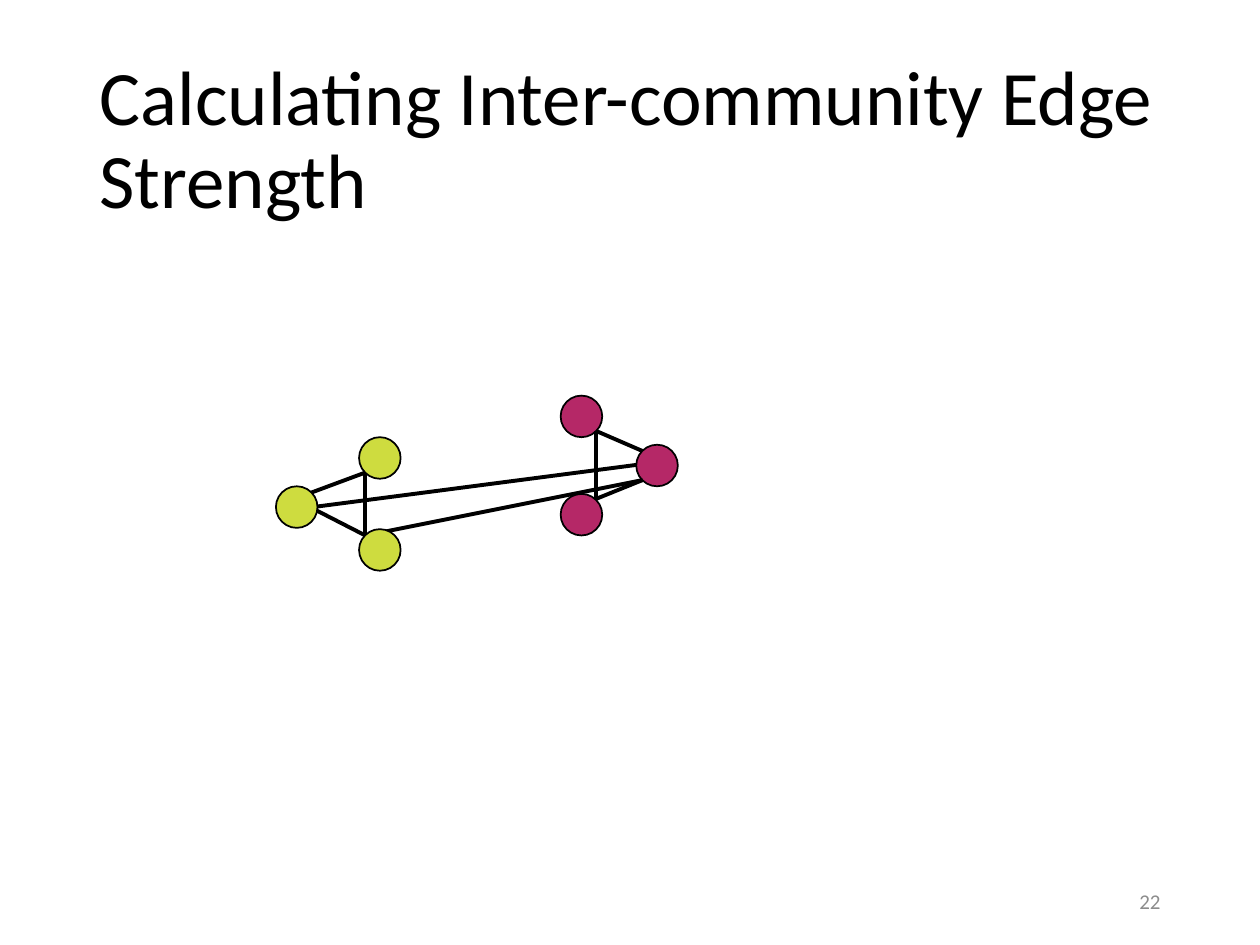
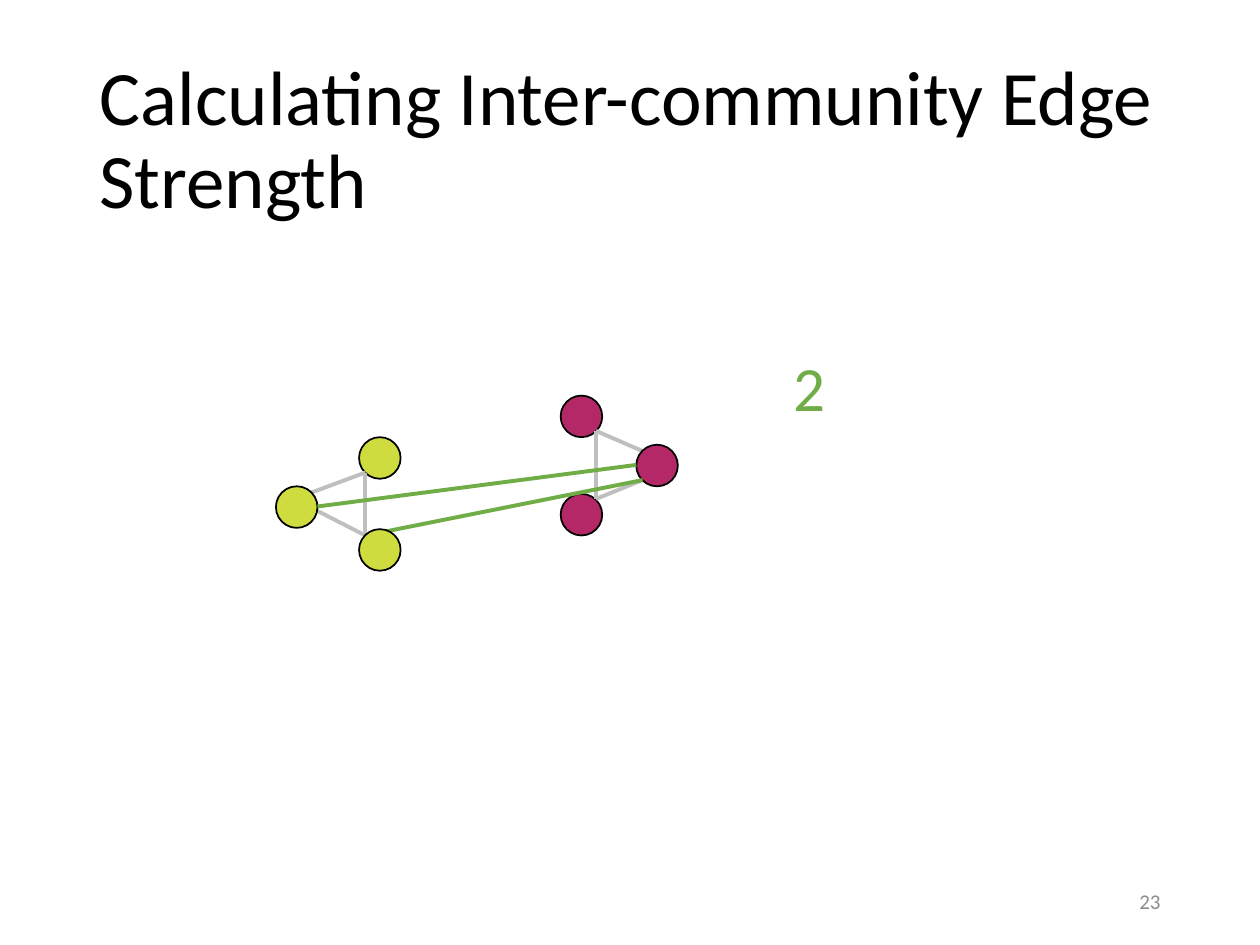
from lxml import etree
from pptx import Presentation
from pptx import util as u
from pptx.dml.color import RGBColor
from pptx.enum import shapes, text
from pptx.oxml.ns import qn

INK = {"black": "000000", "gray": "BFBFBF", "page": "8C8C8C",
       "lime": "CEDC3F", "plum": "B52867", "green": "70AD47"}
FONT = "Calibri"
TITLE = "Calculating Inter-community Edge Strength"
NODE = 0.33
LEFT = [((0.32, 0.91), (0.71, 1.11)), ((0.71, 0.61), (0.28, 0.77)),
        ((0.71, 1.11), (0.71, 0.61))]
RIGHT = [((2.54, 0.28), (2.91, 0.44)), ((2.54, 0.82), (2.91, 0.67)),
         ((2.54, 0.28), (2.54, 0.82))]
CROSS = [((0.33, 0.88), (2.86, 0.55)), ((0.71, 1.11), (2.91, 0.67))]


def tint(name):
    """Return a named colour."""
    return RGBColor.from_string(INK[name])


def place(shape, box):
    """Move a shape to a box given in inches."""
    shape.left, shape.top, shape.width, shape.height = map(u.Inches, box)


def write(shape, words, size, ink="black", align=text.PP_ALIGN.LEFT,
          anchor=text.MSO_ANCHOR.TOP, wrap=True, space=None):
    """Fill a shape with one formatted paragraph."""
    frame = shape.text_frame
    frame.text = words
    frame.word_wrap = wrap
    frame.auto_size = text.MSO_AUTO_SIZE.NONE
    frame.vertical_anchor = anchor
    para = frame.paragraphs[0]
    para.alignment, para.line_spacing = align, space
    font = para.runs[0].font
    font.name, font.size, font.color.rgb = FONT, u.Pt(size), tint(ink)


def label(slide, box, words, size, **style):
    """Add a text box."""
    write(slide.shapes.add_textbox(*map(u.Inches, box)), words, size, **style)


def node(slide, x, y, ink):
    """Add one round graph node."""
    dot = slide.shapes.add_shape(shapes.MSO_SHAPE.OVAL,
                                 *map(u.Inches, (x, y, NODE, NODE)))
    dot.shadow.inherit = False
    dot.fill.solid()
    dot.fill.fore_color.rgb = tint(ink)
    dot.line.color.rgb, dot.line.width = tint("black"), u.Pt(1)


def edges(slide, x, y, pairs, ink):
    """Add straight edges relative to a corner."""
    for (ax, ay), (bx, by) in pairs:
        ends = map(u.Inches, (x + ax, y + ay, x + bx, y + by))
        edge = slide.shapes.add_connector(shapes.MSO_CONNECTOR.STRAIGHT, *ends)
        edge.line.color.rgb, edge.line.width = tint(ink), u.Pt(2.25)
        etree.SubElement(edge._element.spPr, qn("a:effectLst"))


def graph(slide, x, y, inner, cross):
    """Draw two communities and the edges between them."""
    node(slide, x + 0.66, y + 0.33, "lime")
    edges(slide, x, y, LEFT, inner)
    node(slide, x, y + 0.72, "lime")
    for drop in (0, 0.78):
        node(slide, x + 2.26, y + drop, "plum")
    edges(slide, x, y, RIGHT, inner)
    node(slide, x + 2.86, y + 0.39, "plum")
    edges(slide, x, y, CROSS, cross)
    node(slide, x + 0.66, y + 1.06, "lime")


def page(deck, number, inner="black", cross="black", count=None):
    """Build one slide with title, graph, page number and optional count."""
    slide = deck.slides.add_slide(deck.slide_layouts[5])
    title = slide.shapes.title
    place(title, (0.69, 0.4, 8.62, 1.45))
    write(title, TITLE, 44, anchor=text.MSO_ANCHOR.MIDDLE, space=0.9)
    label(slide, (7.06, 6.95, 2.25, 0.4), str(number), 12, ink="page",
          align=text.PP_ALIGN.RIGHT, anchor=text.MSO_ANCHOR.MIDDLE)
    graph(slide, 2.19, 3.14, inner, cross)
    if count is not None:
        label(slide, (6.2, 2.72, 0.64, 0.71), str(count), 36, ink=cross)


def main():
    """Build and save the deck."""
    deck = Presentation()
    deck.slide_width, deck.slide_height = u.Inches(10), u.Inches(7.5)
    page(deck, 22)
    page(deck, 23, inner="gray", cross="green", count=len(CROSS))
    deck.save("out.pptx")


if __name__ == "__main__":
    main()
